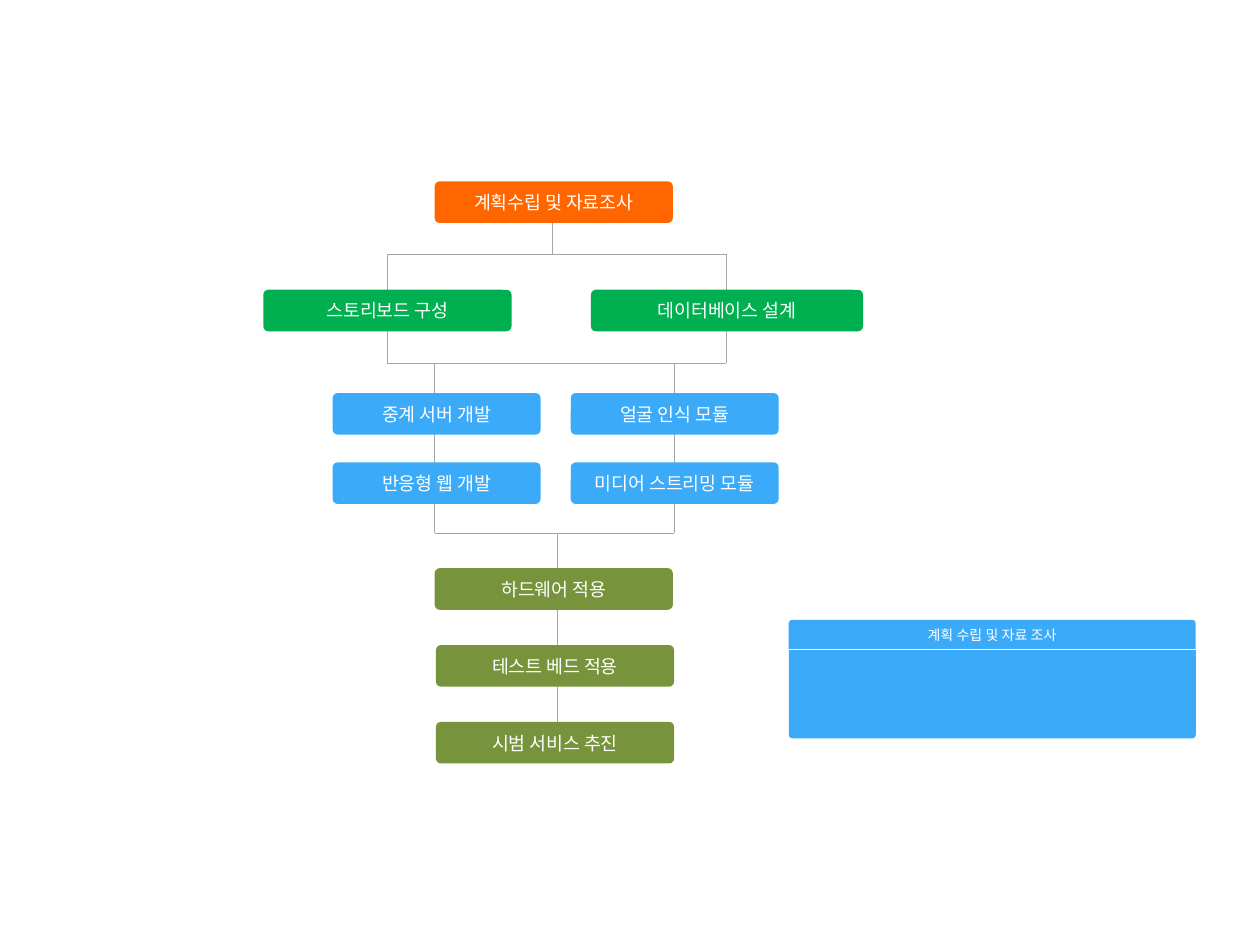
from lxml.etree import SubElement
from pptx import Presentation
from pptx.dml.color import RGBColor
from pptx.enum.shapes import MSO_CONNECTOR, MSO_SHAPE
from pptx.enum.text import MSO_ANCHOR, PP_ALIGN
from pptx.oxml.ns import qn
from pptx.util import Inches, Pt

FONT = "Noto Sans CJK KR"
WHITE = RGBColor(0xFF, 0xFF, 0xFF)
GRAY = RGBColor(0xA6, 0xA6, 0xA6)
ORANGE = RGBColor(0xFF, 0x66, 0x00)
GREEN = RGBColor(0x00, 0xB0, 0x50)
BLUE = RGBColor(0x3A, 0xAA, 0xF9)
OLIVE = RGBColor(0x77, 0x93, 0x3C)

BOX_HEIGHT = 0.33
MAIN_LEFT, MAIN_WIDTH = 3.45, 1.89
DESIGN_TOP = 2.3
MODULE_LEFTS, MODULE_WIDTH = (2.64, 4.53), 1.65
MODULE_TOP, MODULE_STEP = 3.12, 0.55
ROLLOUT_TOP, ROLLOUT_STEP = 4.51, 0.61

DESIGN_AXES = (3.07, 5.76)
MODULE_AXES = (3.45, 5.35)
SPLIT_Y, MIDDLE_Y, MERGE_Y = 2.02, 2.88, 4.23

MODULES = [
    ["중계 서버 개발", "얼굴 인식 모듈"],
    ["반응형 웹 개발", "미디어 스트리밍 모듈"],
]
ROLLOUT = ["하드웨어 적용", "테스트 베드 적용", "시범 서비스 추진"]


def add_line(slide, x1, y1, x2, y2):
    line = slide.shapes.add_connector(
        MSO_CONNECTOR.STRAIGHT, Inches(x1), Inches(y1), Inches(x2), Inches(y2))
    line.line.color.rgb = GRAY
    line.line.width = Pt(0.25)
    SubElement(line._element.spPr, qn("a:effectLst"))


def add_panel(slide, preset, left, top, width, height, color, corner):
    shape = slide.shapes.add_shape(
        preset, Inches(left), Inches(top), Inches(width), Inches(height))
    shape.adjustments[0] = corner
    shape.shadow.inherit = False
    shape.fill.solid()
    shape.fill.fore_color.rgb = color
    shape.line.fill.background()
    return shape


def add_label(shape, text, size):
    frame = shape.text_frame
    frame.text = text
    frame.word_wrap = True
    frame.vertical_anchor = MSO_ANCHOR.MIDDLE
    frame.margin_left = frame.margin_right = 0
    frame.margin_top = frame.margin_bottom = 0
    paragraph = frame.paragraphs[0]
    paragraph.alignment = PP_ALIGN.CENTER
    font = paragraph.runs[0].font
    font.name = FONT
    font.size = Pt(size)
    font.color.rgb = WHITE
    properties = paragraph.runs[0]._r.get_or_add_rPr()
    SubElement(properties, qn("a:ea")).set("typeface", FONT)


def add_step(slide, text, left, top, width, color):
    shape = add_panel(slide, MSO_SHAPE.ROUNDED_RECTANGLE,
                      left, top, width, BOX_HEIGHT, color, 0.12)
    add_label(shape, text, 10.5)


def add_links(slide):
    """Draw the lines that run behind the step boxes."""
    for y, (start, end) in ((SPLIT_Y, DESIGN_AXES), (MIDDLE_Y, DESIGN_AXES),
                            (MERGE_Y, MODULE_AXES)):
        add_line(slide, start, y, end, y)
    for x in DESIGN_AXES:
        add_line(slide, x, SPLIT_Y, x, MIDDLE_Y)
    for x in MODULE_AXES:
        add_line(slide, x, MIDDLE_Y, x, MERGE_Y)
    add_line(slide, 4.38, 1.77, 4.38, SPLIT_Y)
    add_line(slide, 4.42, MERGE_Y, 4.42, 5.84)


def add_steps(slide):
    add_step(slide, "계획수립 및 자료조사", MAIN_LEFT, 1.44, MAIN_WIDTH, ORANGE)
    add_step(slide, "스토리보드 구성", 2.09, DESIGN_TOP, 1.97, GREEN)
    add_step(slide, "데이터베이스 설계", 4.69, DESIGN_TOP, 2.16, GREEN)
    for row, names in enumerate(MODULES):
        for left, name in zip(MODULE_LEFTS, names):
            add_step(slide, name, left, MODULE_TOP + row * MODULE_STEP,
                     MODULE_WIDTH, BLUE)
    for row, name in enumerate(ROLLOUT):
        add_step(slide, name, MAIN_LEFT + 0.01 * min(row, 1),
                 ROLLOUT_TOP + row * ROLLOUT_STEP, MAIN_WIDTH, OLIVE)


def add_card(slide, title, left, top, width):
    """Add a titled card: a header strip above an empty body."""
    preset = MSO_SHAPE.ROUND_2_SAME_RECTANGLE
    header = add_panel(slide, preset, left, top, width, 0.23, BLUE, 0.12)
    add_label(header, title, 8)
    body = add_panel(slide, preset, left, top + 0.24, width, 0.7, BLUE, 0.04)
    body.rotation = 180


def main():
    presentation = Presentation()
    presentation.slide_width = Inches(10)
    presentation.slide_height = Inches(7.5)
    slide = presentation.slides.add_slide(presentation.slide_layouts[6])
    add_links(slide)
    add_card(slide, "계획 수립 및 자료 조사", 6.26, 4.92, 3.23)
    add_steps(slide)
    presentation.save("out.pptx")


if __name__ == "__main__":
    main()
